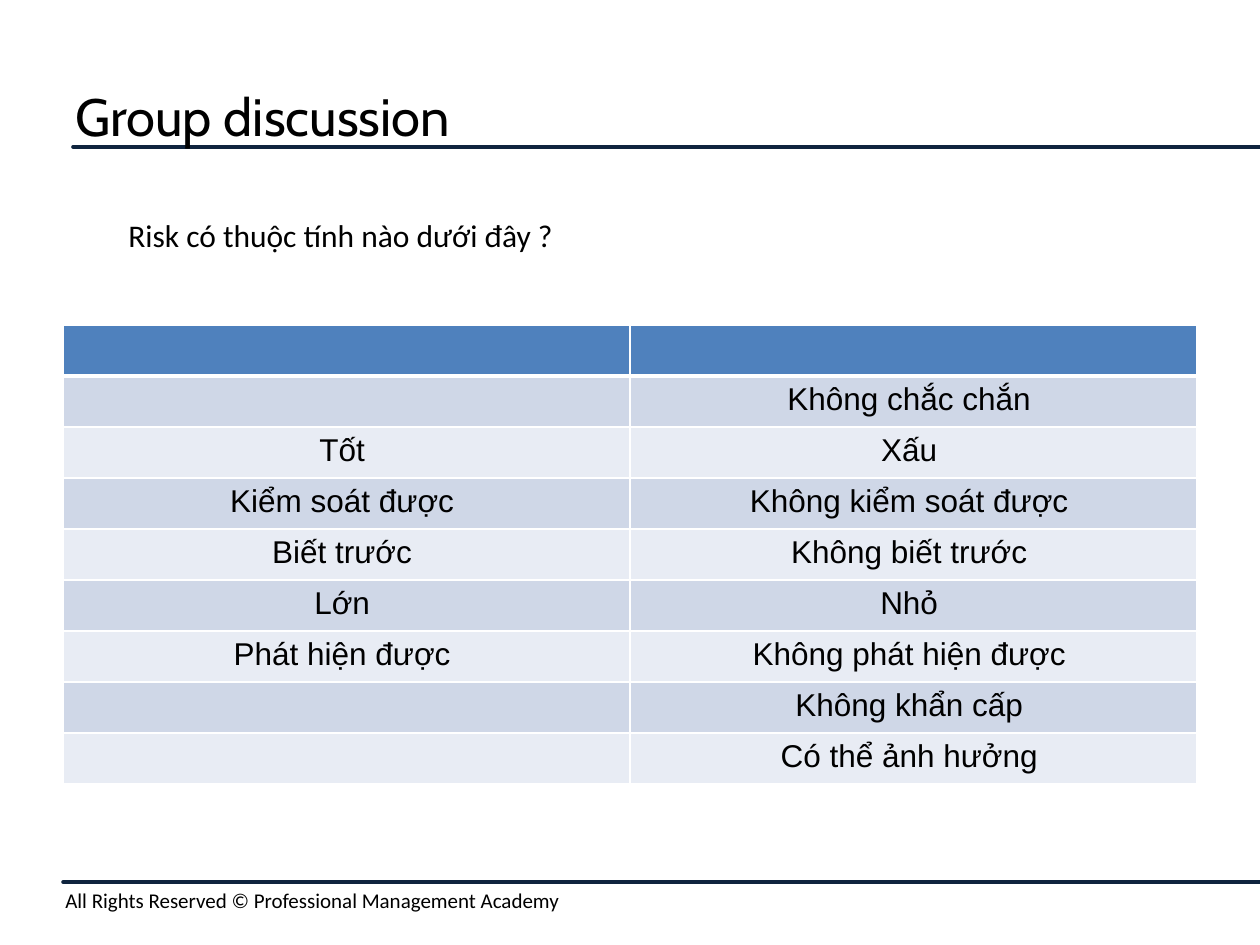
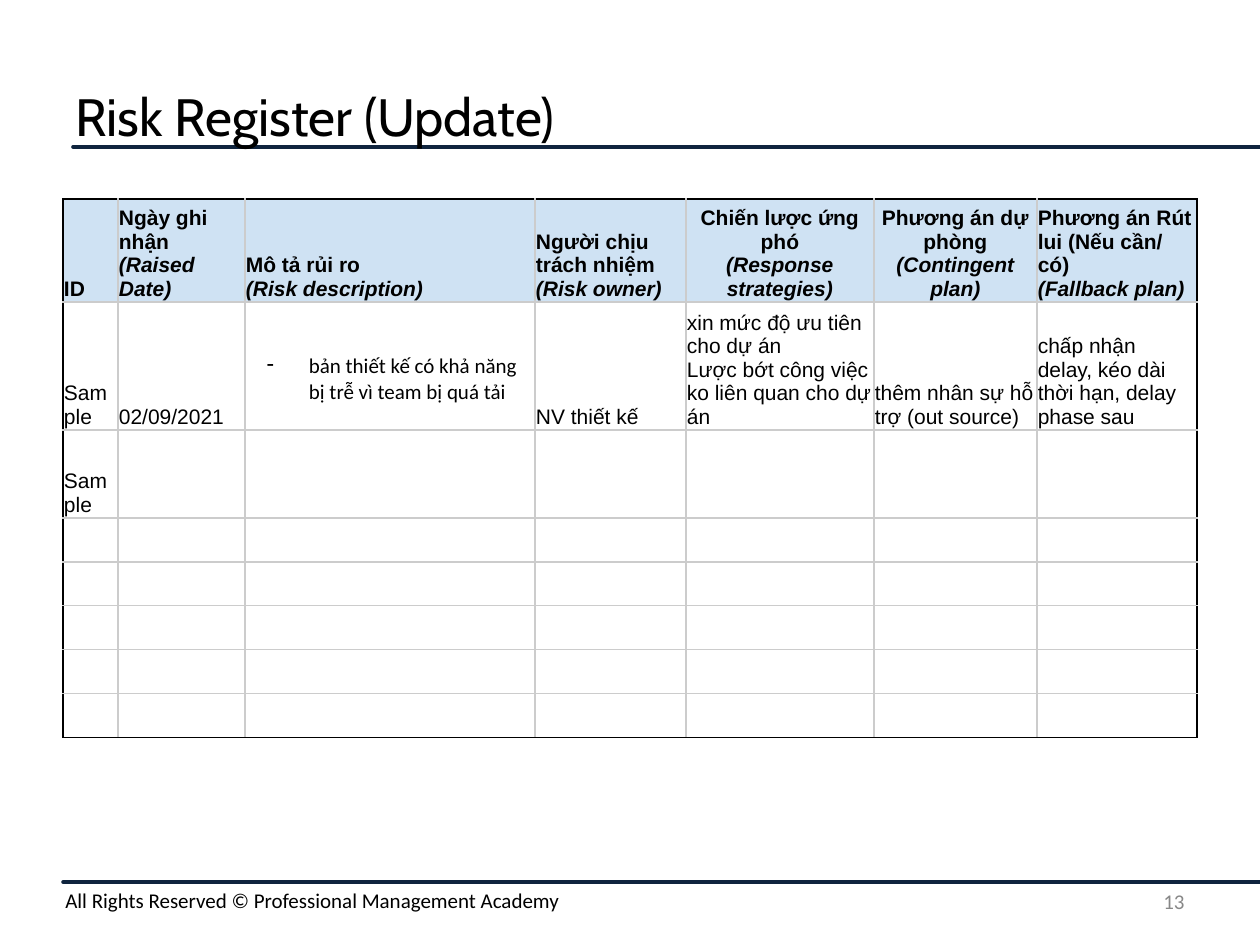
from lxml import etree
from pptx import Presentation
from pptx import util as u
from pptx.dml.color import RGBColor
from pptx.enum import shapes, text
from pptx.oxml.ns import qn

PX_PER_INCH = 126
SLIDE_WIDTH, SLIDE_HEIGHT = 1260, 945
BLACK, NAVY, WHITE, GREY = "000000", "0F243E", "FFFFFF", "888888"
HEADER_BLUE, BANDS = "4F81BD", ("CFD7E7", "E8ECF4")
REGISTER_BLUE, REGISTER_GRID = "CFE2F3", "CCCCCC"
LEFT, CENTER, RIGHT = text.PP_ALIGN.LEFT, text.PP_ALIGN.CENTER, text.PP_ALIGN.RIGHT
TOP, MIDDLE, BOTTOM = text.MSO_ANCHOR.TOP, text.MSO_ANCHOR.MIDDLE, text.MSO_ANCHOR.BOTTOM

ATTRIBUTES = [
    ("", "Không chắc chắn "),
    ("Tốt ", "Xấu "),
    ("Kiểm soát được ", "Không kiểm soát được "),
    ("Biết trước ", "Không biết trước "),
    ("Lớn ", "Nhỏ "),
    ("Phát hiện được ", "Không phát hiện được "),
    ("", "Không khẩn cấp "),
    ("", "Có thể ảnh hưởng "),
]

# Vietnamese heading, English heading, column width, alignment
REGISTER_COLUMNS = [
    ("ID", "", 55, LEFT),
    ("Ngày ghi nhận", "(Raised Date)", 127, LEFT),
    ("Mô tả rủi ro", "(Risk description)", 290, LEFT),
    ("Người chịu trách nhiệm", "(Risk owner)", 151, LEFT),
    ("Chiến lược ứng phó", "(Response strategies)", 188, CENTER),
    ("Phương án dự phòng", "(Contingent plan)", 163, CENTER),
    ("Phương án Rút lui (Nếu cần/ có)", "(Fallback plan)", 160, LEFT),
]
REGISTER_HEIGHTS = [97, 120, 88] + [44] * 5
DESCRIPTION_COLUMN = 2
REGISTER_ROWS = [
    [
        "Sample",
        "02/09/2021",
        "bản thiết kế có khả năng bị trễ vì team bị quá tải",
        "NV thiết kế",
        "xin mức độ ưu tiên cho dự án\nLược bớt công việc ko liên quan cho dự án",
        "thêm nhân sự hỗ trợ (out source)",
        "chấp nhận delay, kéo dài thời hạn, delay phase sau",
    ],
    ["Sample"],
]


def px(length):
    return u.Emu(round(length * 914400 / PX_PER_INCH))


def color(value):
    return RGBColor.from_string(value)


def write(frame, content, size=12, font="Arial", fill=BLACK, align=LEFT,
          bold=False, subtitle=""):
    """Write one paragraph per line; an italic subtitle follows a line break."""
    for index, line in enumerate(content.split("\n")):
        paragraph = frame.paragraphs[0] if index == 0 else frame.add_paragraph()
        paragraph.alignment = align
        for part, italic in ((line, False), (subtitle, True)):
            if not part:
                continue
            if italic:
                paragraph.add_line_break()
            run = paragraph.add_run()
            run.text = part
            run.font.size = u.Pt(size)
            run.font.name = font
            run.font.bold = bold
            run.font.italic = italic
            run.font.color.rgb = color(fill)


def add_text(slide, box, content, anchor=TOP, **text_format):
    frame = slide.shapes.add_textbox(*map(px, box)).text_frame
    frame.word_wrap = True
    frame.vertical_anchor = anchor
    write(frame, content, **text_format)


def add_rule(slide, left, top):
    """Draw a rule from left to the right edge of the slide."""
    rule = slide.shapes.add_connector(
        shapes.MSO_CONNECTOR.STRAIGHT, px(left), px(top), px(SLIDE_WIDTH), px(top))
    rule.line.color.rgb = color(NAVY)
    rule.line.width = u.Pt(2)
    properties = rule._element.spPr
    properties.find(qn("a:ln")).set("cap", "rnd")
    etree.SubElement(properties, qn("a:effectLst"))


def add_framed_slide(presentation, title):
    slide = presentation.slides.add_slide(presentation.slide_layouts[6])
    add_rule(slide, 73, 147)
    add_rule(slide, 63, 882)
    add_text(slide, (53, 881, 1207, 38),
             "All Rights Reserved © Professional Management Academy", font="Calibri")
    add_text(slide, (63, 63, 1134, 105), title, MIDDLE, size=30, font="Cabin")
    return slide


def add_table(slide, left, top, widths, heights):
    table = slide.shapes.add_table(
        len(heights), len(widths), px(left), px(top),
        px(sum(widths)), px(sum(heights))).table
    table.first_row = table.horz_banding = False
    for column, width in zip(table.columns, widths):
        column.width = px(width)
    for row, height in zip(table.rows, heights):
        row.height = px(height)
    return table


def style_cell(cell, fill, borders):
    """Set the fill (None for clear) and (colour, points) for left, right, top, bottom."""
    properties = cell._tc.get_or_add_tcPr()
    for side, (line_color, points) in zip("LRTB", borders):
        line = etree.SubElement(properties, qn(f"a:ln{side}"), w=str(u.Pt(points)))
        solid = etree.SubElement(line, qn("a:solidFill"))
        etree.SubElement(solid, qn("a:srgbClr"), val=line_color)
    if fill:
        cell.fill.solid()
        cell.fill.fore_color.rgb = color(fill)
    else:
        cell.fill.background()


def add_dash_bullet(paragraph):
    properties = paragraph._p.get_or_add_pPr()
    properties.set("marL", str(px(63)))
    properties.set("indent", str(px(-42)))
    bullet_color = etree.SubElement(properties, qn("a:buClr"))
    etree.SubElement(bullet_color, qn("a:srgbClr"), val=BLACK)
    etree.SubElement(properties, qn("a:buChar"), char="-")


def add_attribute_table(slide, left, top):
    rows = [("", "")] + ATTRIBUTES
    table = add_table(slide, left, top, [567] * 2, [51] * len(rows))
    for row, contents in enumerate(rows):
        fill = BANDS[(row - 1) % 2] if row else HEADER_BLUE
        above = 3 if row == 1 else 1
        below = 3 if row == 0 else 1
        borders = [(WHITE, points) for points in (1, 1, above, below)]
        for column, content in enumerate(contents):
            cell = table.cell(row, column)
            style_cell(cell, fill, borders)
            write(cell.text_frame, content, size=18, align=CENTER)


def add_register_table(slide, left, top):
    widths = [width for _, _, width, _ in REGISTER_COLUMNS]
    table = add_table(slide, left, top, widths, REGISTER_HEIGHTS)
    last_row, last_column = len(REGISTER_HEIGHTS) - 1, len(widths) - 1
    for row in range(last_row + 1):
        for column in range(last_column + 1):
            cell = table.cell(row, column)
            outer = (column == 0, column == last_column, row == 0, row == last_row)
            borders = [(BLACK if edge else REGISTER_GRID, 1) for edge in outer]
            style_cell(cell, None if row else REGISTER_BLUE, borders)
            cell.vertical_anchor = BOTTOM
            cell.margin_left = cell.margin_right = px(1)
            cell.margin_top = cell.margin_bottom = px(1)

    for column, (heading, subtitle, _, align) in enumerate(REGISTER_COLUMNS):
        write(table.cell(0, column).text_frame, heading,
              bold=True, align=align, subtitle=subtitle)
    for row, contents in enumerate(REGISTER_ROWS, start=1):
        for column, content in enumerate(contents):
            cell = table.cell(row, column)
            is_description = column == DESCRIPTION_COLUMN
            if is_description:
                add_dash_bullet(cell.text_frame.paragraphs[0])
                cell.margin_bottom = px(25)
            write(cell.text_frame, content, font="Calibri" if is_description else "Arial")


def build_discussion(presentation):
    slide = add_framed_slide(presentation, "Group discussion")
    add_attribute_table(slide, 63, 325)
    add_text(slide, (116, 210, 503, 50), "Risk có thuộc tính nào dưới đây ?",
             size=18, font="Calibri")


def build_register(presentation):
    slide = add_framed_slide(presentation, "Risk Register (Update)")
    add_register_table(slide, 63, 199)
    add_text(slide, (903, 876, 294, 50), "13", MIDDLE,
             font="Calibri", fill=GREY, align=RIGHT)


def main():
    presentation = Presentation()
    presentation.slide_width = px(SLIDE_WIDTH)
    presentation.slide_height = px(SLIDE_HEIGHT)
    build_discussion(presentation)
    build_register(presentation)
    presentation.save("out.pptx")


if __name__ == "__main__":
    main()
